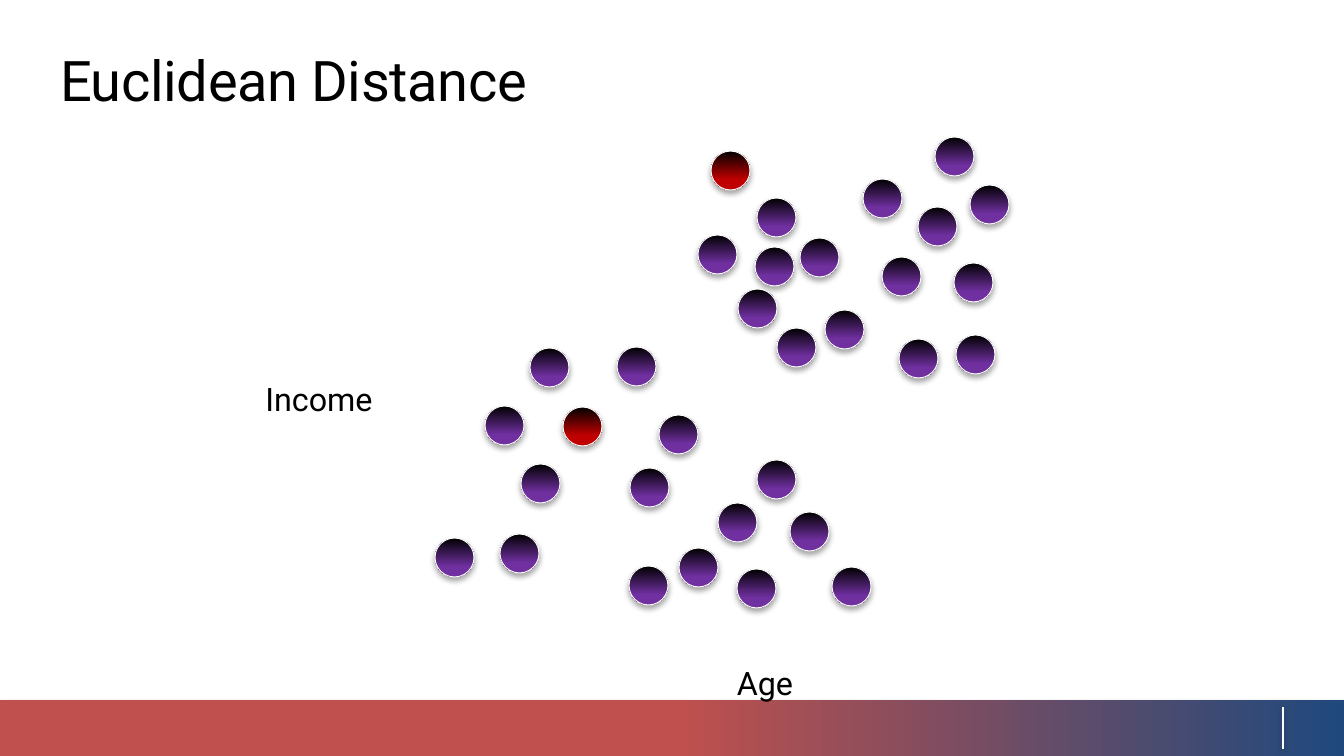
from lxml import etree
from pptx import Presentation
from pptx.dml.color import RGBColor
from pptx.enum.shapes import MSO_CONNECTOR as CONN, MSO_SHAPE as SHAPE
from pptx.enum.text import MSO_ANCHOR as ANCHOR, PP_ALIGN as ALIGN
from pptx.oxml.ns import qn
from pptx.util import Emu, Pt

PX = 914400 / 134.4
BLACK = RGBColor(0x00, 0x00, 0x00)
WHITE = RGBColor(0xFF, 0xFF, 0xFF)
PURPLE = RGBColor(0x70, 0x30, 0xA0)
RED = RGBColor(0xC0, 0x00, 0x00)
BRICK = RGBColor(0xC0, 0x50, 0x4D)
NAVY = RGBColor(0x1F, 0x49, 0x7D)

DOT = 39
UPPER_OUTLIER = (711, 151)
UPPER_CLUSTERS = [
    (698, 235), (757, 198), (755, 247), (738, 289), (800, 238),
    (825, 310), (777, 328), (899, 339), (956, 335), (954, 263),
    (882, 257), (918, 207), (970, 185), (935, 137), (863, 179),
]
LOWER_CENTER = (563, 407)
LEFT_CLUSTER = [
    (435, 538), (485, 406), (530, 348), (617, 347),
    (659, 415), (630, 468), (521, 464), (500, 534),
]
BOTTOM_CLUSTER = [
    (629, 566), (679, 548), (718, 503), (757, 460),
    (790, 512), (737, 569), (832, 567),
]


def px(*values):
    """Turn pixels into EMU."""
    return [Emu(round(v * PX)) for v in values]


class Canvas:
    """Holds the text style and the current slide."""

    font = {"name": "Roboto"}

    def __init__(self, slide):
        """Keep the shapes of the slide to draw on."""
        self.shapes = slide.shapes

    def shadow(self, sp, alpha=35, blur=3.1, dist=1.8):
        """Give a shape a soft black shadow below it."""
        effects = etree.SubElement(sp._element.spPr, qn("a:effectLst"))
        outer = etree.SubElement(effects, qn("a:outerShdw"), {
            "blurRad": str(Pt(blur)), "dist": str(Pt(dist)),
            "dir": "5400000", "rotWithShape": "0"})
        color = etree.SubElement(outer, qn("a:srgbClr"), val=str(BLACK))
        etree.SubElement(color, qn("a:alpha"), val=str(alpha * 1000))

    def shape(self, kind, box, stops, angle, outline=None):
        """Draw a preset shape with a two-stop gradient and a shadow."""
        sp = self.shapes.add_shape(kind, *px(*box))
        sp.fill.gradient()
        sp.fill.gradient_angle = angle
        for stop, (position, color) in zip(sp.fill.gradient_stops, stops):
            stop.position = position
            stop.color.rgb = color
        if outline:
            sp.line.color.rgb = outline
            sp.line.width = Pt(0.51)
        else:
            sp.line.fill.background()
        self.shadow(sp)

    def dot(self, left, top, color=PURPLE):
        """Draw one data point."""
        self.shape(SHAPE.OVAL, (left, top, DOT, DOT),
                   [(0, BLACK), (0.74, color)], 270, WHITE)

    def line(self, x1, y1, x2, y2):
        """Draw a thin white line."""
        cn = self.shapes.add_connector(CONN.STRAIGHT, *px(x1, y1, x2, y2))
        cn.line.color.rgb = WHITE
        cn.line.width = Pt(0.74)
        self.shadow(cn, 38, 3.1, 1.6)

    def text(self, text, box, size, spacing=None, **para):
        """Write one line of text in a box without margins."""
        tf = self.shapes.add_textbox(*px(*box)).text_frame
        frame = dict.fromkeys(
            ("margin_left", "margin_top", "margin_right", "margin_bottom"), 0)
        p = tf.paragraphs[0]
        r = p.add_run()
        r.text = text
        r.font.color.rgb = BLACK
        formats = [
            (tf, {**frame, "word_wrap": True, "vertical_anchor": ANCHOR.TOP}),
            (p, para),
            (r.font, {**self.font, "size": Pt(size)}),
        ]
        for target, values in formats:
            for name, value in values.items():
                setattr(target, name, value)
        p._p.get_or_add_pPr().set("marL", str(px(1)[0]))
        if spacing:
            r._r.get_or_add_rPr().set("spc", str(spacing))


def main():
    """Build and save the slide."""
    prs = Presentation()
    prs.slide_width, prs.slide_height = px(1344, 756)
    c = Canvas(prs.slides.add_slide(prs.slide_layouts[6]))

    c.shape(SHAPE.RECTANGLE, (0, 700, 1344, 56),
            [(0, NAVY), (0.5, BRICK)], 180)
    c.line(1283, 707, 1283, 749)

    c.dot(*UPPER_OUTLIER, RED)
    for spot in UPPER_CLUSTERS:
        c.dot(*spot)

    label = {"alignment": ALIGN.CENTER, "line_spacing": Pt(28.5)}
    c.text("Age", (521, 649, 487, 52), 17.3, **label)
    c.text("Income", (247, 365, 143, 52), 17.3, **label)
    c.text("Euclidean Distance", (59, 46, 1241, 67), 30, spacing=-20)

    c.dot(*LOWER_CENTER, RED)
    for spot in LEFT_CLUSTER + BOTTOM_CLUSTER:
        c.dot(*spot)

    prs.save("out.pptx")


main()
